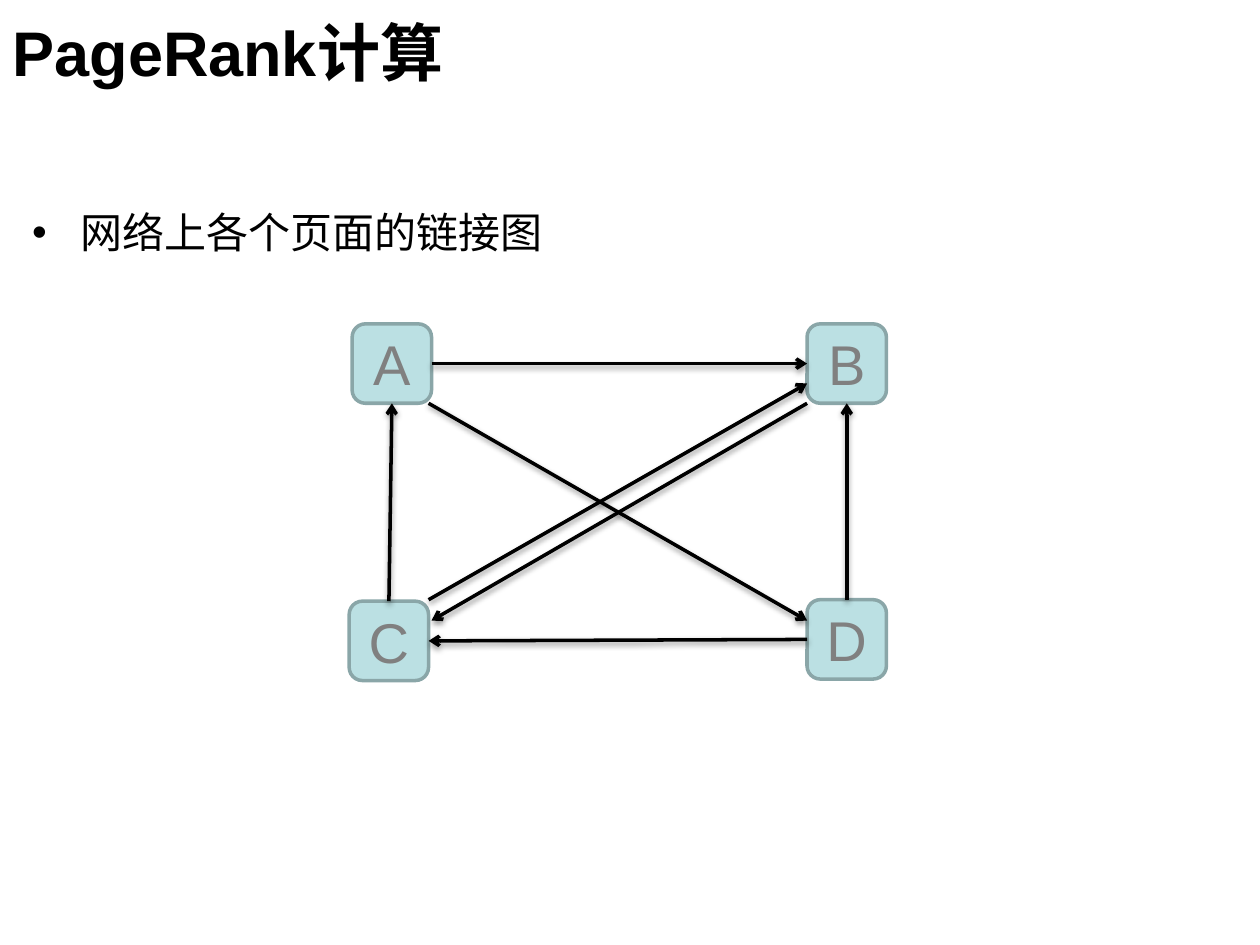
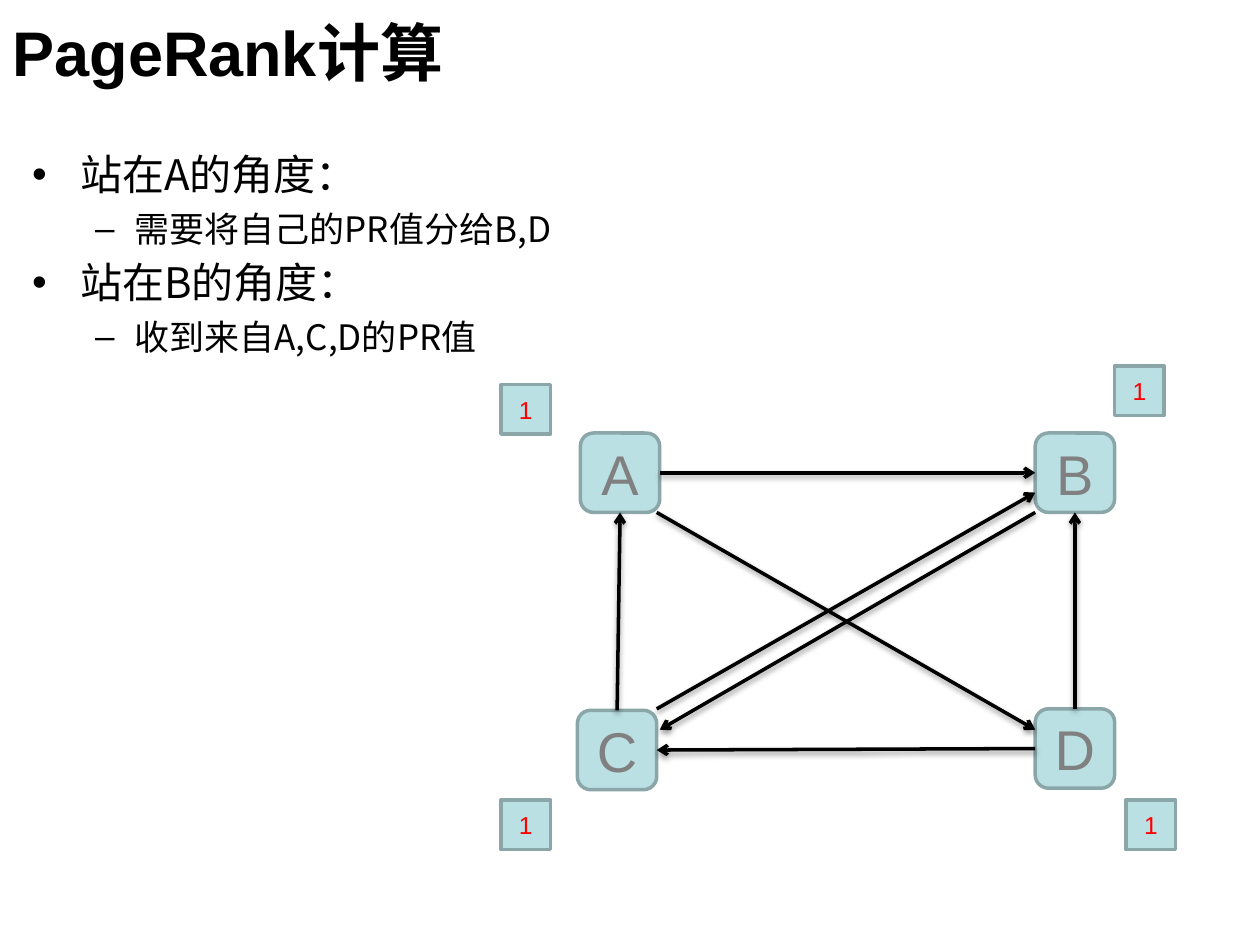
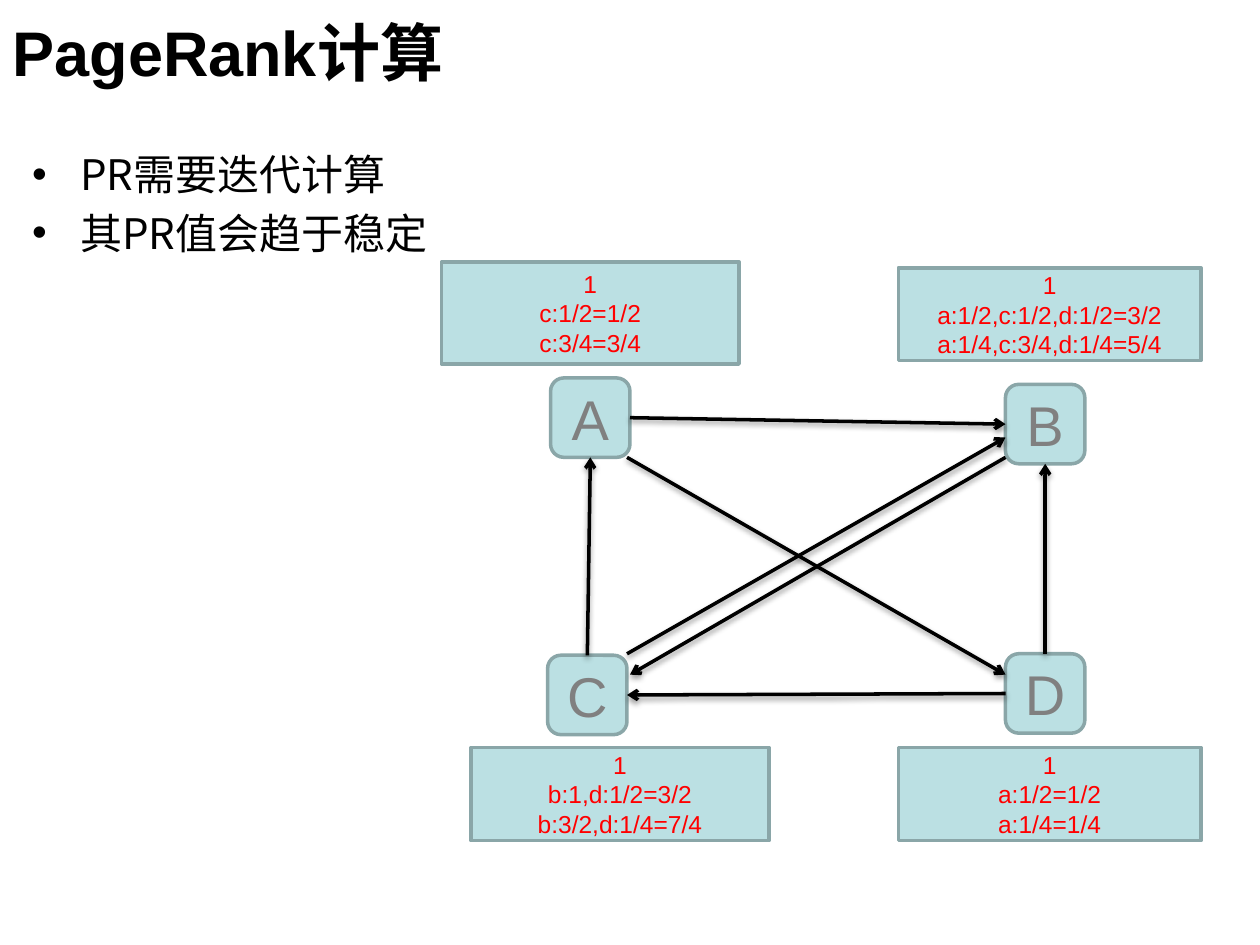
"""Build three slides that explain how PageRank is computed on a four-page link graph."""
import lxml.etree
import pptx
import pptx.dml.color
import pptx.enum.shapes
import pptx.enum.text
import pptx.oxml
import pptx.oxml.ns
import pptx.util

Cm = pptx.util.Cm
Pt = pptx.util.Pt
qn = pptx.oxml.ns.qn
SHAPE = pptx.enum.shapes.MSO_SHAPE
ALIGN = pptx.enum.text.PP_ALIGN
MIDDLE = pptx.enum.text.MSO_ANCHOR.MIDDLE

BLACK, WHITE, GREY, RED = "000000", "FFFFFF", "808080", "FF0000"
BOX_FILL, BOX_LINE = "BBE0E3", "8AA6A8"
LATIN, CJK = "Arial", "Noto Sans CJK SC"
TITLE = "PageRank计算"
NODE = 1.6
SHADOW = (
    f'<a:effectLst {pptx.oxml.ns.nsdecls("a")}>'
    '<a:outerShdw blurRad="40000" dist="20000" dir="5400000" rotWithShape="0">'
    '<a:srgbClr val="000000"><a:alpha val="38000"/></a:srgbClr>'
    '</a:outerShdw></a:effectLst>'
)
BULLETS = [
    {"char": "•", "size": 24, "left": 0.97, "hang": 0.97},
    {"char": "–", "size": 20, "left": 2.06, "hang": 0.79},
]

SLIDES = [
    {
        "body_inset": 1.4,
        "body": [(0, "网络上各个页面的链接图")],
        "a": (7.1, 6.53),
        "b_drop": 0,
        "notes": [],
    },
    {
        "body_inset": 0.23,
        "body": [
            (0, "站在A的角度："),
            (1, "需要将自己的PR值分给B,D"),
            (0, "站在B的角度："),
            (1, "收到来自A,C,D的PR值"),
        ],
        "a": (11.7, 8.73),
        "b_drop": 0,
        "notes": [
            (10.1, 7.75, 1, 1, "1"),
            (22.47, 7.38, 1, 1, "1"),
            (10.1, 16.13, 1, 1, "1"),
            (22.7, 16.13, 1, 1, "1"),
        ],
    },
    {
        "body_inset": 0.23,
        "body": [(0, "PR需要迭代计算"), (0, "其PR值会趋于稳定")],
        "a": (11.1, 7.62),
        "b_drop": 0.13,
        "notes": [
            (8.9, 5.28, 6, 2.06, "1\nc:1/2=1/2\nc:3/4=3/4"),
            (18.11, 5.4, 6.1, 1.87, "1\na:1/2,c:1/2,d:1/2=3/2\na:1/4,c:3/4,d:1/4=5/4"),
            (9.5, 15.07, 6, 1.88, "1\nb:1,d:1/2=3/2\nb:3/2,d:1/4=7/4"),
            (18.11, 15.07, 6.1, 1.88, "1\na:1/2=1/2\na:1/4=1/4"),
        ],
    },
]


def paint(fill, color):
    fill.solid()
    fill.fore_color.rgb = pptx.dml.color.RGBColor.from_string(color)


def write(p, text, size=14, color=BLACK, font=LATIN, bold=False, align=ALIGN.LEFT):
    p.alignment = align
    r = p.add_run()
    r.text = text
    r.font.size = Pt(size)
    r.font.bold = bold
    paint(r.font.fill, color)
    r.font.name = font
    lxml.etree.SubElement(r.font._element, qn("a:ea")).set("typeface", CJK)


prs = pptx.Presentation()
prs.slide_width, prs.slide_height = Cm(25.4), Cm(19.05)

for page in SLIDES:
    s = prs.slides.add_slide(prs.slide_layouts[5])

    title = s.shapes.title
    title.left, title.top, title.width, title.height = Cm(0), Cm(0), Cm(25.4), Cm(2.08)
    paint(title.fill, WHITE)
    title.text_frame.vertical_anchor = MIDDLE
    write(title.text_frame.paragraphs[0], TITLE, size=36, bold=True)

    tf = s.shapes.add_textbox(Cm(0.4), Cm(2.77), Cm(24.4), Cm(14.1)).text_frame
    tf.word_wrap = True
    tf.margin_top = Cm(page["body_inset"])
    for i, (level, text) in enumerate(page["body"]):
        p = tf.add_paragraph() if i else tf.paragraphs[0]
        bullet = BULLETS[level]
        p.level = level
        p.line_spacing = Pt(1.2 * bullet["size"])
        p.space_after = Pt(4.5)
        write(p, text, size=bullet["size"], font=CJK)
        pPr = p._p.get_or_add_pPr()
        pPr.set("marL", str(Cm(bullet["left"])))
        pPr.set("indent", str(-Cm(bullet["hang"])))
        lxml.etree.SubElement(pPr, qn("a:buFont")).set("typeface", LATIN)
        lxml.etree.SubElement(pPr, qn("a:buChar")).set("char", bullet["char"])

    ax, ay = page["a"]
    bx, by = ax + 9.17, ay + page["b_drop"]
    cx, cy = ax - 0.06, ay + 5.59
    dx, dy = bx, ay + 5.56
    half = NODE / 2
    a_bottom = ay + NODE

    boxes = [
        (SHAPE.ROUNDED_RECTANGLE, x, y, NODE, NODE, name, 32, GREY)
        for name, x, y in [("A", ax, ay), ("B", bx, by), ("C", cx, cy), ("D", dx, dy)]
    ]
    boxes += [(SHAPE.RECTANGLE, *note, 14, RED) for note in page["notes"]]
    for kind, x, y, w, h, text, size, color in boxes:
        sp = s.shapes.add_shape(kind, Cm(x), Cm(y), Cm(w), Cm(h))
        sp.shadow.inherit = False
        paint(sp.fill, BOX_FILL)
        paint(sp.line.fill, BOX_LINE)
        sp.line.width = Pt(2)
        tf = sp.text_frame
        tf.vertical_anchor = MIDDLE
        for i, line in enumerate(text.split("\n")):
            p = tf.add_paragraph() if i else tf.paragraphs[0]
            write(p, line, size=size, color=color, align=ALIGN.CENTER)

    links = [
        (ax + NODE, ay + half, bx, by + half),
        (cx + NODE, a_bottom, dx, dy + 0.42),
        (bx, a_bottom, ax + NODE, dy + 0.42),
        (cx + half, cy, ax + half, a_bottom),
        (cx + NODE, dy, bx, a_bottom - 0.4),
        (dx, dy + half, cx + NODE, cy + half),
        (dx + half, dy, bx + half, by + NODE),
    ]
    for ends in links:
        link = s.shapes.add_connector(
            pptx.enum.shapes.MSO_CONNECTOR.STRAIGHT, *[Cm(v) for v in ends]
        )
        paint(link.line.fill, BLACK)
        link.line.width = Pt(2)
        lxml.etree.SubElement(link.get_or_add_ln(), qn("a:tailEnd")).set("type", "arrow")
        link._element.spPr.append(pptx.oxml.parse_xml(SHADOW))

prs.save("out.pptx")
